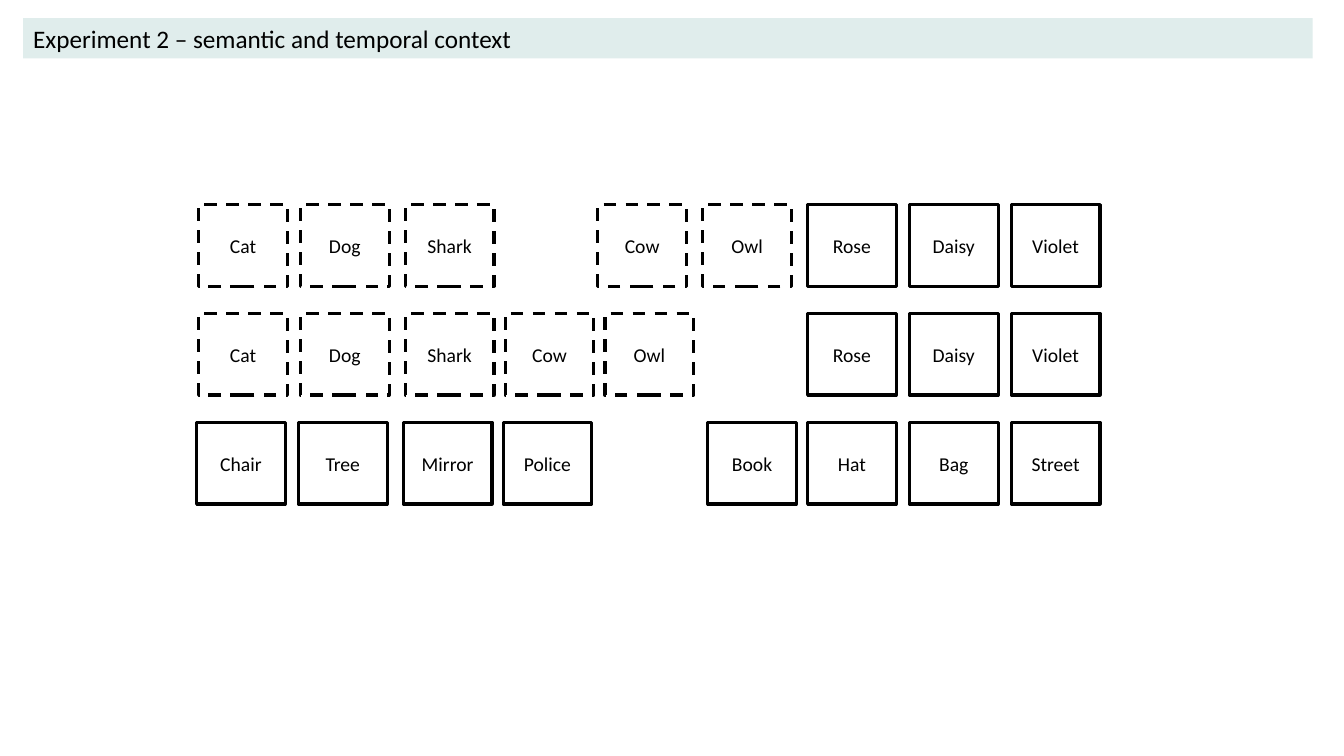
import pptx
import pptx.util
import pptx.dml.color
import pptx.enum.dml
import pptx.enum.shapes
import pptx.enum.text

INCH = pptx.util.Inches
ALIGN = pptx.enum.text.PP_ALIGN
DASH = pptx.enum.dml.MSO_LINE.DASH

# Word tiles: each word's position in columns; dashed tiles are animals
ANIMALS = {"Cat", "Dog", "Shark", "Cow", "Owl"}
FLOWERS = {"Rose": 5.98, "Daisy": 6.98, "Violet": 7.98}
ROWS = [
    {"Cat": 0, "Dog": 1, "Shark": 2.03, "Cow": 3.92, "Owl": 4.95, **FLOWERS},
    {"Cat": 0, "Dog": 1, "Shark": 2.03, "Cow": 3.01, "Owl": 3.99, **FLOWERS},
    {"Chair": -0.02, "Tree": 0.98, "Mirror": 2.01, "Police": 2.99,
     "Book": 5, "Hat": 5.98, "Bag": 6.98, "Street": 7.98},
]
COLUMN, ROW = 1.01, 1.08
TILE_W, TILE_H = 0.88, 0.81


def color(hex_value):
    return pptx.dml.color.RGBColor.from_string(hex_value)


def add_box(s, box, text, size, align):
    """Unfilled, unlined rectangle with one line of text."""
    rect = pptx.enum.shapes.MSO_SHAPE.RECTANGLE
    sp = s.shapes.add_shape(rect, *(INCH(v) for v in box))
    sp.shadow.inherit = False
    sp.fill.background()
    sp.line.fill.background()
    tf = sp.text_frame
    tf.word_wrap = True
    tf.vertical_anchor = pptx.enum.text.MSO_ANCHOR.MIDDLE
    tf.text = text
    p = tf.paragraphs[0]
    p.alignment = align
    font = p.runs[0].font
    font.name, font.size = "Calibri", pptx.util.Pt(size)
    font.color.rgb = color("000000")
    return sp


def add_title(s, box, text):
    sp = add_box(s, box, text, 18, ALIGN.LEFT)
    sp.fill.solid()
    sp.fill.fore_color.rgb = color("E0EDEC")


def add_tiles(s, left, top, rows):
    for i, row in enumerate(rows):
        for word, column in row.items():
            box = (left + column * COLUMN, top + i * ROW, TILE_W, TILE_H)
            sp = add_box(s, box, word, 14, ALIGN.CENTER)
            sp.line.color.rgb = color("000000")
            sp.line.width = pptx.util.Pt(2.25)
            if word in ANIMALS:
                sp.line.dash_style = DASH


def main():
    prs = pptx.Presentation()
    prs.slide_width, prs.slide_height = INCH(13.33), INCH(7.5)
    s = prs.slides.add_slide(prs.slide_layouts[6])
    add_title(s, (0.23, 0.18, 12.79, 0.4),
              "Experiment 2 – semantic and temporal context")
    add_tiles(s, 1.97, 2.03, ROWS)
    prs.save("out.pptx")


if __name__ == "__main__":
    main()
